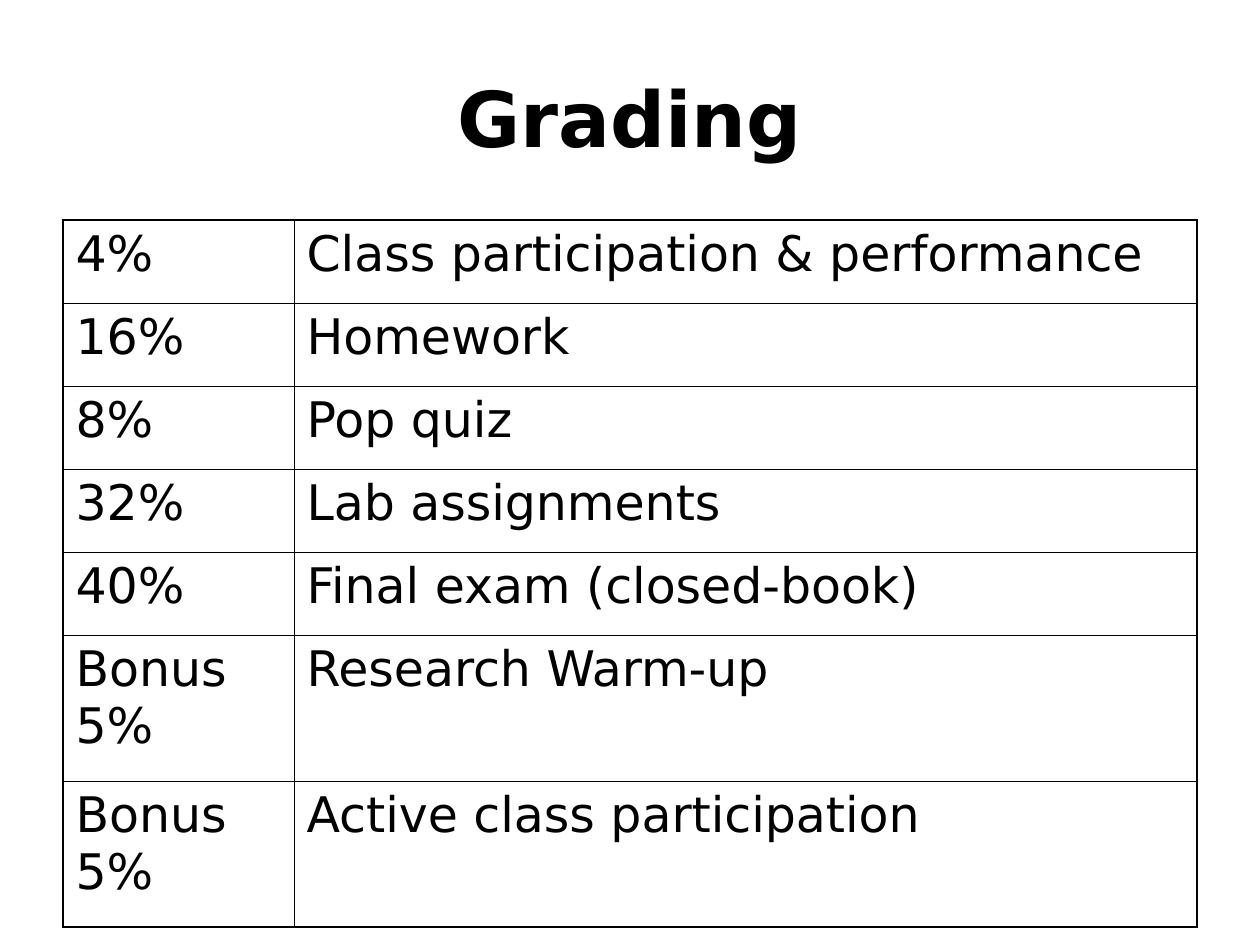
"""Build the course grading slide with its table of weights."""
from lxml import etree
from pptx import Presentation
from pptx.dml.color import RGBColor
from pptx.enum.text import MSO_ANCHOR, PP_ALIGN
from pptx.oxml.ns import qn
from pptx.util import Emu, Pt

MIDDLE, TOP = MSO_ANCHOR.MIDDLE, MSO_ANCHOR.TOP
CENTER, LEFT = PP_ALIGN.CENTER, PP_ALIGN.LEFT
PX_PER_INCH = 126
BLACK = "000000"
THICK, THIN = 1.08, 0.45
TITLE_FONT = {"name": "DejaVu Sans", "size": Pt(44), "bold": True}
CELL_FONT = {"name": "DejaVu Sans", "size": Pt(28), "bold": False}
COLUMNS = [231, 903]
GRADES = [
    ("4%", "Class participation & performance", 83),
    ("16%", "Homework", 83),
    ("8%", "Pop quiz", 83),
    ("32%", "Lab assignments", 83),
    ("40%", "Final exam (closed-book)", 83),
    ("Bonus 5%", "Research Warm-up", 146),
    ("Bonus 5%", "Active class participation", 146),
]


def px(n):
    return Emu(round(n * 914400 / PX_PER_INCH))


def color(value):
    return RGBColor.from_string(value)


def write(tf, text, fmt, align):
    tf.word_wrap = True
    p = tf.paragraphs[0]
    p.alignment = align
    r = p.add_run()
    r.text = text
    for key, value in fmt.items():
        setattr(r.font, key, value)
    r.font.color.rgb = color(BLACK)


def add_title(s, text, box):
    tf = s.shapes.add_textbox(*map(px, box)).text_frame
    tf.vertical_anchor = MIDDLE
    write(tf, text, TITLE_FONT, CENTER)


def set_borders(cell, widths):
    tc_pr = cell._tc.get_or_add_tcPr()
    for i, (side, width) in enumerate(widths.items()):
        ln = etree.Element(qn(f"a:{side}"), w=str(Pt(width)))
        fill = etree.SubElement(ln, qn("a:solidFill"))
        etree.SubElement(fill, qn("a:srgbClr"), val=BLACK)
        tc_pr.insert(i, ln)


def add_grades(s, left, top):
    n_rows, n_cols = len(GRADES), len(COLUMNS)
    width, height = sum(COLUMNS), sum(row[-1] for row in GRADES)
    table = s.shapes.add_table(
        n_rows, n_cols, px(left), px(top), px(width), px(height)).table
    table.first_row = table.horz_banding = False
    for column, w in zip(table.columns, COLUMNS):
        column.width = px(w)
    for i, (*texts, h) in enumerate(GRADES):
        table.rows[i].height = px(h)
        for j, text in enumerate(texts):
            cell = table.cell(i, j)
            cell.fill.background()
            cell.vertical_anchor = TOP
            write(cell.text_frame, text, CELL_FONT, LEFT)
            outer = {"lnL": j == 0, "lnR": j == n_cols - 1,
                     "lnT": i == 0, "lnB": i == n_rows - 1}
            set_borders(cell, {side: THICK if edge else THIN
                               for side, edge in outer.items()})


def main():
    prs = Presentation()
    prs.slide_width, prs.slide_height = px(1260), px(945)
    s = prs.slides.add_slide(prs.slide_layouts[6])
    add_title(s, "Grading", (63, 38, 1134, 158))
    add_grades(s, 63, 220)
    prs.save("out.pptx")


if __name__ == "__main__":
    main()
